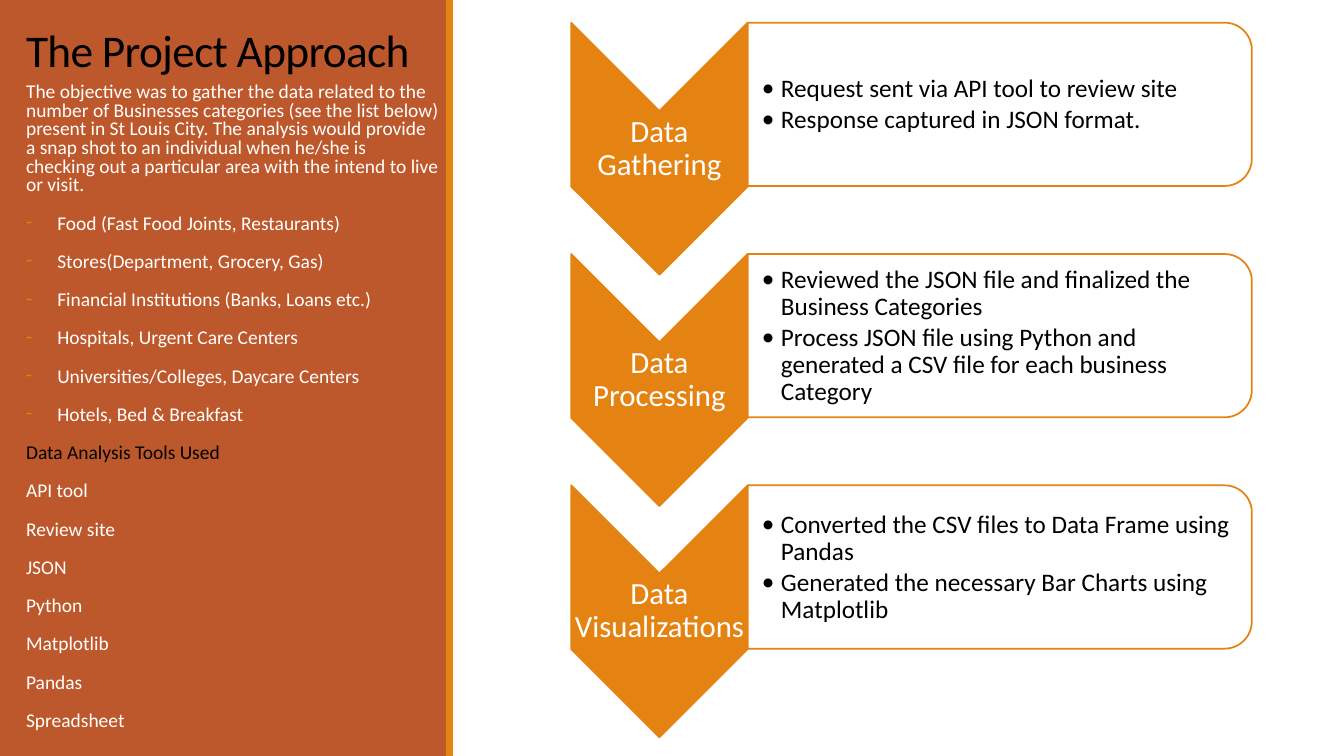
from dataclasses import dataclass

from lxml.etree import SubElement
from pptx import Presentation
from pptx.dml.color import RGBColor
from pptx.enum.shapes import MSO_SHAPE as Preset
from pptx.enum.text import MSO_ANCHOR as Anchor, PP_ALIGN as Align
from pptx.oxml.ns import qn
from pptx.util import Inches, Pt


@dataclass(frozen=True)
class Theme:
    """Colours, type sizes and font of the slide."""
    panel: str = "BD582C"
    accent: str = "E48312"
    light: str = "FFFFFF"
    dark: str = "000000"
    font: str = "Calibri"
    title: float = 32.4
    body: float = 13.9
    label: float = 22
    detail: float = 18
    outline: float = 1.25


THEME = Theme()
WIDTH, HEIGHT = Inches(13.33), Inches(7.5)
STEP_TOP, STEP_PITCH = 3, 30.6
ARROW_LEFT, ARROW_WIDTH = 42.5, 13.13
CARD_LEFT = ARROW_LEFT + ARROW_WIDTH

OBJECTIVE = (
    "The objective was to gather the data related to the number of Businesses "
    "categories (see the list below) present in St Louis City. The analysis would "
    "provide a snap shot to an individual when he/she is checking out a particular "
    "area with the intend to live or visit."
)
CATEGORIES = [
    "Food (Fast Food Joints, Restaurants)",
    "Stores(Department, Grocery, Gas)",
    "Financial Institutions (Banks, Loans etc.)",
    "Hospitals, Urgent Care Centers",
    "Universities/Colleges, Daycare Centers",
    "Hotels, Bed & Breakfast",
]
TOOLS = ["API tool", "Review site", "JSON", "Python", "Matplotlib", "Pandas", "Spreadsheet"]
STEPS = [
    ("Data Gathering", [
        "Request sent via API tool to review site",
        "Response captured in JSON format.",
    ]),
    ("Data Processing", [
        "Reviewed the JSON file and finalized the Business Categories",
        "Process JSON file using Python and generated a CSV file for each business Category",
    ]),
    ("Data Visualizations", [
        "Converted the CSV files to Data Frame using Pandas",
        "Generated the necessary Bar Charts using Matplotlib",
    ]),
]


def place(left, top, width, height):
    """Turn percentages of the slide into lengths."""
    return [int(share * side / 100) for share, side in
            ((left, WIDTH), (top, HEIGHT), (width, WIDTH), (height, HEIGHT))]


def add_block(slide, preset, area, fill, outline=None, turned=False):
    """Add a filled shape, optionally turned a quarter within its area."""
    left, top, width, height = place(*area)
    if turned:
        left, top = left + (width - height) // 2, top + (height - width) // 2
        width, height = height, width
    shape = slide.shapes.add_shape(preset, left, top, width, height)
    shape.rotation = 90 if turned else 0
    shape.shadow.inherit = False
    shape.fill.solid()
    shape.fill.fore_color.rgb = RGBColor.from_string(fill)
    if outline:
        shape.line.color.rgb = RGBColor.from_string(outline)
        shape.line.width = Pt(THEME.outline)
    else:
        shape.line.fill.background()
    return shape


def add_frame(slide, area, anchor, insets=(0.1, 0.05, 0.1, 0.05)):
    """Add a wrapping text box and return its text frame."""
    frame = slide.shapes.add_textbox(*place(*area)).text_frame
    frame.word_wrap = True
    frame.vertical_anchor = anchor
    (frame.margin_left, frame.margin_top,
     frame.margin_right, frame.margin_bottom) = map(Inches, insets)
    return frame


def add_bullet(paragraph, mark, indent, color):
    """Give a paragraph a hanging bullet."""
    properties = paragraph._p.get_or_add_pPr()
    properties.set("marL", str(Inches(indent)))
    properties.set("indent", str(-Inches(indent)))
    bullet_color = SubElement(properties, qn("a:buClr"))
    SubElement(bullet_color, qn("a:srgbClr")).set("val", color)
    SubElement(properties, qn("a:buFont")).set("typeface", THEME.font)
    SubElement(properties, qn("a:buChar")).set("char", mark)


def write(frame, text, size, color, spacing, before=0, after=0, bullet=None, align=Align.LEFT):
    """Write one paragraph into a frame and return its run."""
    first = not frame.paragraphs[0].runs
    paragraph = frame.paragraphs[0] if first else frame.add_paragraph()
    if bullet:
        add_bullet(paragraph, *bullet)
    paragraph.alignment = align
    paragraph.line_spacing = spacing
    paragraph.space_before = Pt(0 if first else before)
    paragraph.space_after = Pt(after)
    run = paragraph.add_run()
    run.text = text
    run.font.name = THEME.font
    run.font.size = Pt(size)
    run.font.color.rgb = RGBColor.from_string(color)
    return run


def add_side_panel(slide):
    """Add the coloured panel with title, objective, categories and tools."""
    add_block(slide, Preset.RECTANGLE, (0, 0, 33.2, 100), THEME.panel)
    add_block(slide, Preset.RECTANGLE, (33.17, 0, 0.53, 100), THEME.accent)
    title = add_frame(slide, (1.2, 1.2, 32.26, 9.6), Anchor.BOTTOM)
    run = write(title, "The Project Approach", THEME.title, THEME.dark, 0.85)
    run._r.get_or_add_rPr().set("spc", "-50")

    body = add_frame(slide, (1.2, 10.4, 32.26, 89.6), Anchor.TOP)
    dash = ("-", 0.31, THEME.accent)
    lines = [(OBJECTIVE, THEME.light, None)]
    lines += [(category, THEME.light, dash) for category in CATEGORIES]
    lines += [("Data Analysis Tools Used", THEME.dark, None)]
    lines += [(tool, THEME.light, None) for tool in TOOLS]
    for text, color, bullet in lines:
        write(body, text, THEME.body, color, 0.8, before=12, after=2, bullet=bullet)


def add_step(slide, top, name, details):
    """Add one downward chevron with its card of details."""
    add_block(slide, Preset.CHEVRON, (ARROW_LEFT, top, ARROW_WIDTH, 33.33),
              THEME.accent, THEME.accent, turned=True)
    label = add_frame(slide, (ARROW_LEFT, top + 11.67, ARROW_WIDTH, 10),
                      Anchor.MIDDLE, (0.02,) * 4)
    write(label, name, THEME.label, THEME.light, 0.9, align=Align.CENTER)

    add_block(slide, Preset.ROUND_2_SAME_RECTANGLE, (CARD_LEFT, top, 37.51, 21.6),
              THEME.light, THEME.accent, turned=True)
    card = add_frame(slide, (CARD_LEFT, top + 1.1, 36.91, 19.6),
                     Anchor.MIDDLE, (0.14, 0.01, 0.01, 0.01))
    for detail in details:
        write(card, detail, THEME.detail, THEME.dark, 0.9, after=2.7,
              bullet=("•", 0.19, THEME.dark))


def main():
    """Build the slide and save it."""
    presentation = Presentation()
    presentation.slide_width, presentation.slide_height = WIDTH, HEIGHT
    slide = presentation.slides.add_slide(presentation.slide_layouts[6])
    add_side_panel(slide)
    for index, (name, details) in enumerate(STEPS):
        add_step(slide, STEP_TOP + index * STEP_PITCH, name, details)
    presentation.save("out.pptx")


if __name__ == "__main__":
    main()
